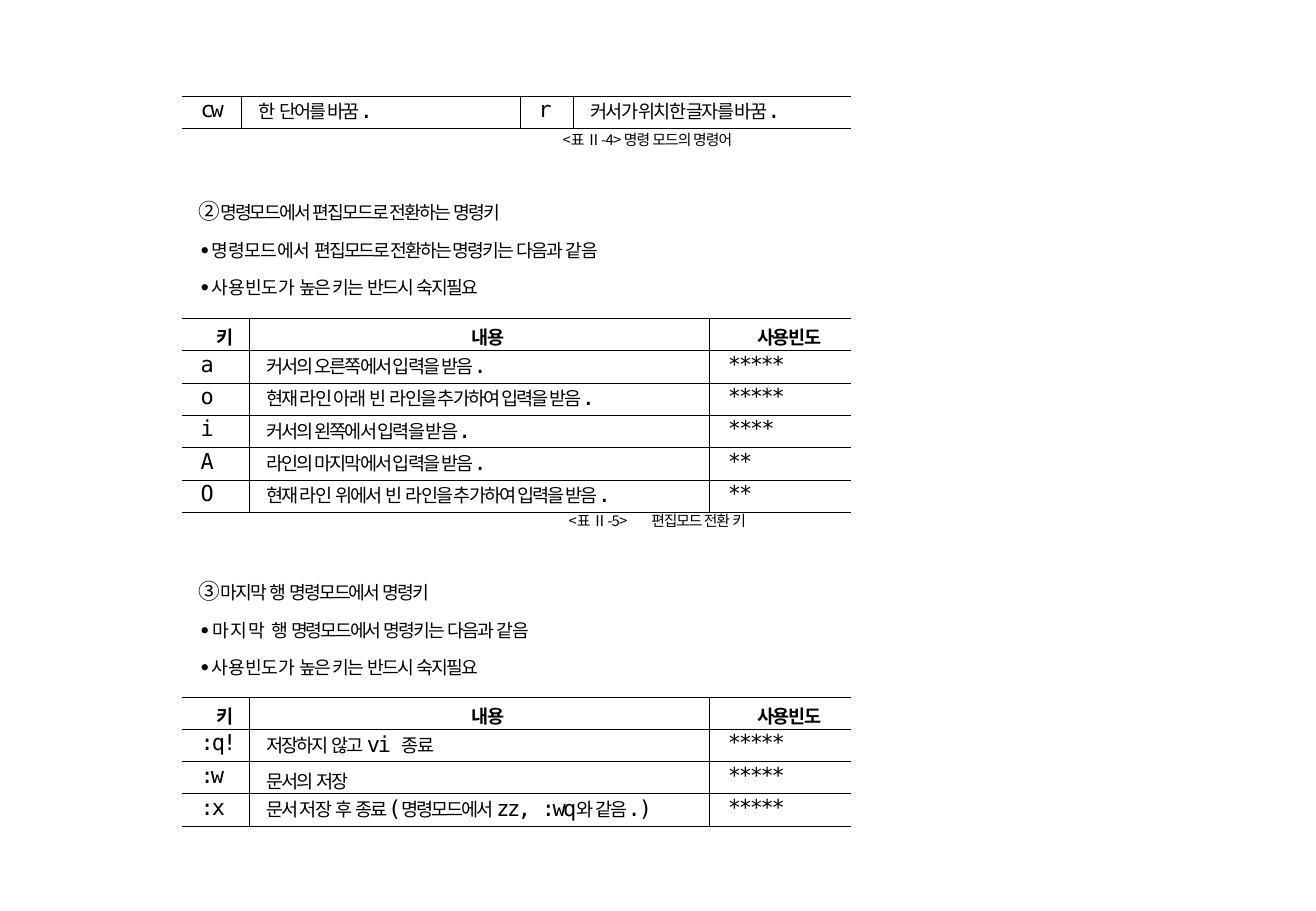
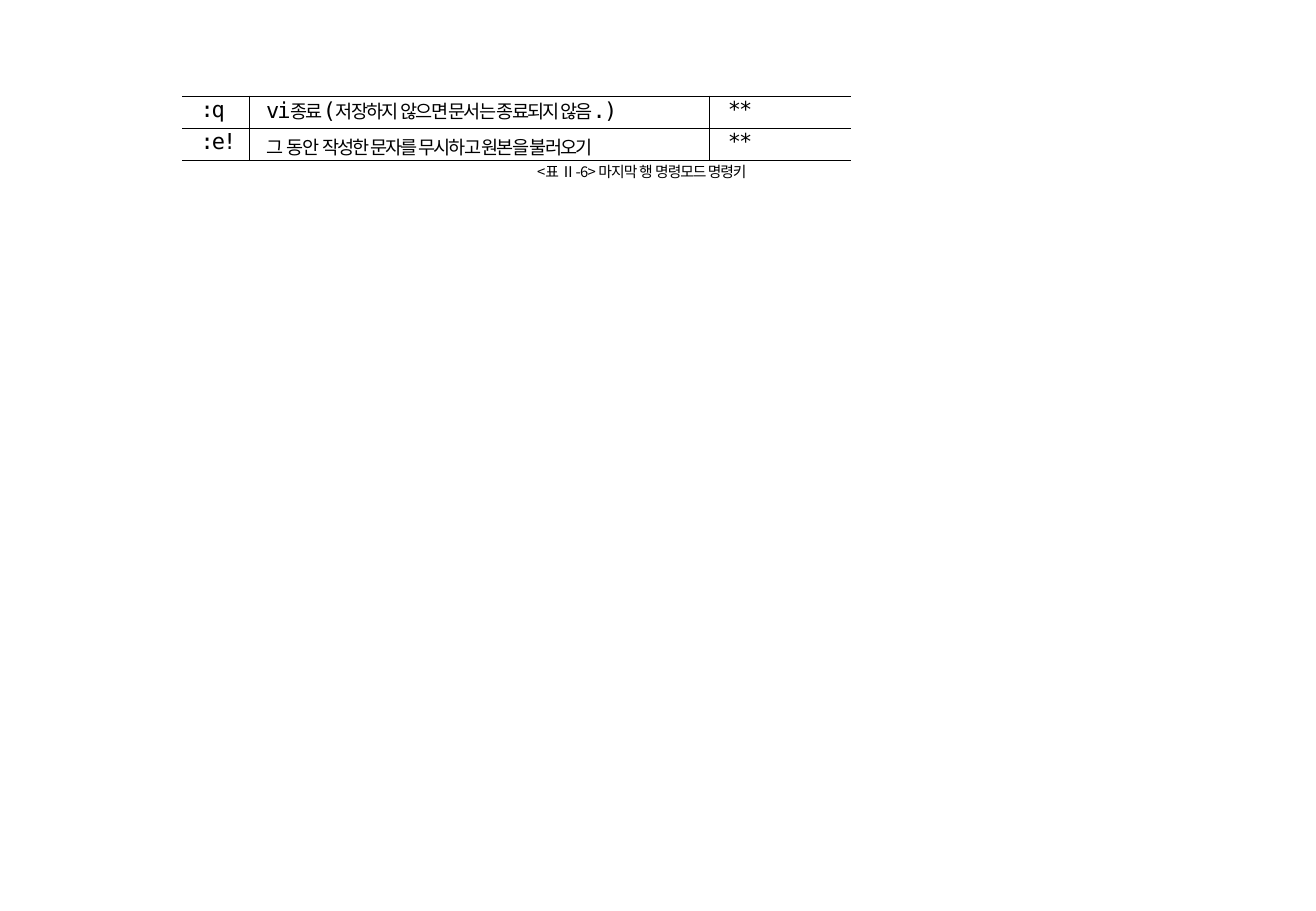
import pptx
import pptx.util
import pptx.dml.color
import pptx.enum.text
import pptx.oxml.ns
from lxml import etree

Inches, Pt = pptx.util.Inches, pptx.util.Pt
ALIGN = pptx.enum.text.PP_ALIGN
BLACK = pptx.dml.color.RGBColor(0, 0, 0)
KOREAN, CIRCLED, BULLET, MONO = (
    "Noto Sans CJK KR", "Noto Sans CJK SC", "Karla", "DejaVu Sans Mono")

# Content: every run is (text, letter spacing in points)
HEADER = [[("키", 0)], [("내용", -0.5)], [("사용빈도", -0.7)]]
FIVE, FOUR, TWO = [("*****", -1.3)], [("****", -1.2)], [("**", -1.2)]
PERIOD = (".", -1.1)

COMMAND_ROWS = [
    [[("cw", -1.8)], [("한 ", -0.5), ("단어를 바꿈", -1.1), PERIOD],
     [("r", 0)], [("커서가 위치한 글자를 바꿈", -1.1), PERIOD]],
]
EDIT_ROWS = [
    HEADER,
    [[("a", 0)], [("커서의 오른쪽에서 입력을 받음", -1.1), PERIOD], FIVE],
    [[("o", 0)], [("현재 라인 아래 ", -0.9), ("빈 ", -0.5),
                  ("라인을 추가하여 입력을 받음", -1.1), PERIOD], FIVE],
    [[("i", 0)], [("커서의 왼쪽에서 입력을 받음", -1.1), PERIOD], FOUR],
    [[("A", 0)], [("라인의 마지막에서 입력을 받음", -1.1), PERIOD], TWO],
    [[("O", 0)], [("현재 라인 ", -0.9), ("위에서 ", -1.1), ("빈 ", -0.5),
                  ("라인을 추가하여 입력을 받음", -1.1), PERIOD], TWO],
]
LAST_LINE_ROWS = [
    HEADER,
    [[(":q!", -1.1)], [("저장하지 ", -1.1), ("않고 ", -0.9), ("vi ", -1.3),
                       ("종료", -0.9)], FIVE],
    [[(":w", -1.6)], [("문서의 ", -1.1), ("저장", -0.9)], FIVE],
    [[(":x", -1.1)], [("문서 저장 ", -0.9), ("후 ", -0.5), ("종료", -1.2),
                      ("(", -1.2), ("명령모드에서 ", -1.2), ("zz, ", -1.4),
                      (":wq", -1.5), ("와 ", -1.5), ("같음", -1.1),
                      (".)", -1.1)], FIVE],
]
QUIT_ROWS = [
    [[(":q", -1.2)], [("vi", -1.2), ("종료", -1.2), ("(", -1.2), ("저장하지 ", -1.2),
                      ("않으면 문서는 종료되지 않음", -1.1), (".)", -1.1)], TWO],
    [[(":e!", -1.1)], [("그 ", -0.5), ("동안 ", -0.9),
                       ("작성한 문자를 무시하고 원본을 불러오기", -1.1)], TWO],
]

FREQUENT = [("∙", 0), ("사용빈도가 ", 0), ("높은 키는 ", -0.9),
            ("반드시 ", -1), ("숙지필요", -1.1)]
EDIT_INTRO = [
    [("② ", -2.5), ("명령모드에서 ", -1.2), ("편집모드로 전환하는 ", -1.1), ("명령키", -1)],
    [("∙", -0.2), ("명령모드에서 ", -0.2), ("편집모드로 전환하는 명령키는 ", -1.1),
     ("다음과 ", -1), ("같음", -0.9)],
    FREQUENT,
]
LAST_LINE_INTRO = [
    [("③ ", -2.5), ("마지막 ", -1), ("행 ", -0.4), ("명령모드에서 ", -1.2), ("명령키", -1)],
    [("∙", 0.6), ("마지막 ", 0.6), ("행 ", -0.4), ("명령모드에서 ", -1.2),
     ("명령키는 ", -1.1), ("다음과 ", -1), ("같음", -0.9)],
    FREQUENT,
]

KEY_COLUMNS = (0.55, 3.79, 1.16)
COMMAND_COLUMNS = (0.49, 2.29, 0.44, 2.28)

# Per slide: tables (top, height, columns, rows), intros (top, lines),
# captions (left, top, width, runs)
SLIDES = [
    {"tables": [(0.79, 0.27, COMMAND_COLUMNS, COMMAND_ROWS),
                (2.62, 1.6, KEY_COLUMNS, EDIT_ROWS),
                (5.74, 1.06, KEY_COLUMNS, LAST_LINE_ROWS)],
     "intros": [(1.52, EDIT_INTRO), (4.65, LAST_LINE_INTRO)],
     "captions": [(4.62, 1.07, 1.74, [("<표 Ⅱ-4> ", -0.4), ("명령 ", -0.6),
                                      ("모드의 명령어", -0.5)]),
                  (4.67, 4.2, 0.65, [("<표 Ⅱ-5>", -0.4)]),
                  (5.35, 4.2, 0.95, [("편집모드 전환 ", -0.6), ("키", -0.5)])]},
    {"tables": [(0.79, 0.53, KEY_COLUMNS, QUIT_ROWS)],
     "intros": [],
     "captions": [(4.41, 1.33, 2.15, [("<표 Ⅱ-6> ", -0.4), ("마지막 행 ", -0.5),
                                      ("명령모드 명령키", -0.6)])]},
]


def add_text(para, runs, face, before=0, indent=0.01, align=ALIGN.LEFT, bold=False):
    """Fill a paragraph; face maps a run's text to (font, size)."""
    para.alignment, para.space_before = align, Pt(before)
    para._p.get_or_add_pPr().set("marL", str(Inches(indent)))
    para._p.get_or_add_pPr().set("indent", "0")
    for text, spacing in runs:
        span = para.add_run()
        span.text = text
        font = span.font
        font.name, size = face(text)
        font.size, font.bold = Pt(size), bold
        font.color.rgb = BLACK
        properties = span._r.get_or_add_rPr()
        properties.set("spc", str(round(spacing * 100)))
        east_asian = etree.SubElement(properties, pptx.oxml.ns.qn("a:ea"))
        east_asian.set("typeface", font.name)


def caption_face(text):
    return KOREAN, 8.8


def intro_face(text):
    if text[0] in "②③":
        return CIRCLED, 12.8
    return (BULLET, 12.8) if text == "∙" else (KOREAN, 10.8)


def cell_face(text):
    return (MONO, 13) if text.isascii() else (KOREAN, 11)


def set_insets(holder, top):
    holder.margin_left = holder.margin_right = holder.margin_bottom = 0
    holder.margin_top = Inches(top)


def add_box(page, left, top, width, height, inset):
    frame = page.shapes.add_textbox(
        Inches(left), Inches(top), Inches(width), Inches(height)).text_frame
    frame.word_wrap = True
    set_insets(frame, inset)
    return frame


def set_borders(cell, drawn):
    """Rule the sides named in drawn, leave the others open."""
    properties = cell._tc.get_or_add_tcPr()
    for place, side in enumerate("LRTB"):
        line = etree.Element(pptx.oxml.ns.qn("a:ln" + side), w=str(Pt(0.5)))
        if side in drawn:
            fill = etree.SubElement(line, pptx.oxml.ns.qn("a:solidFill"))
            etree.SubElement(fill, pptx.oxml.ns.qn("a:srgbClr"), val=str(BLACK))
        else:
            etree.SubElement(line, pptx.oxml.ns.qn("a:noFill"))
        properties.insert(place, line)


def add_key_table(page, top, height, columns, rows):
    table = page.shapes.add_table(
        len(rows), len(columns), Inches(1.5), Inches(top),
        Inches(sum(columns)), Inches(height)).table
    table.first_row = table.horz_banding = False
    for column, width in zip(table.columns, columns):
        column.width = Inches(width)
    for r, row in enumerate(rows):
        for c, runs in enumerate(row):
            cell = table.cell(r, c)
            cell.fill.background()
            set_borders(cell, "TB" + "L" * (c > 0) + "R" * (c < len(columns) - 1))
            # Cells without code text sit a little lower
            has_code = any(text.isascii() for text, _ in runs)
            set_insets(cell, 0.01 if has_code else 0.04)
            is_header = row is HEADER
            add_text(cell.text_frame.paragraphs[0], runs, cell_face,
                     before=0.5 if has_code else 2.6, bold=is_header,
                     indent=(0.28, 0.14, 0.39)[c] if is_header else (0.15, 0.14)[c % 2],
                     align=ALIGN.CENTER if is_header and c == 1 else ALIGN.LEFT)


# Build the deck
deck = pptx.Presentation()
deck.slide_width, deck.slide_height = Inches(10.83), Inches(7.5)
for content in SLIDES:
    page = deck.slides.add_slide(deck.slide_layouts[6])
    for left, top, width, runs in content["captions"]:
        frame = add_box(page, left, top, width, 0.16, 0.01)
        add_text(frame.paragraphs[0], runs, caption_face, before=0.9)
    for top, lines in content["intros"]:
        frame = add_box(page, 1.62, top, 4.74, 0.95, 0.11)
        for number, runs in enumerate(lines):
            para = frame.add_paragraph() if number else frame.paragraphs[0]
            add_text(para, runs, intro_face, before=6.9 if number else 7.7)
    for table in content["tables"]:
        add_key_table(page, *table)
deck.save("out.pptx")
